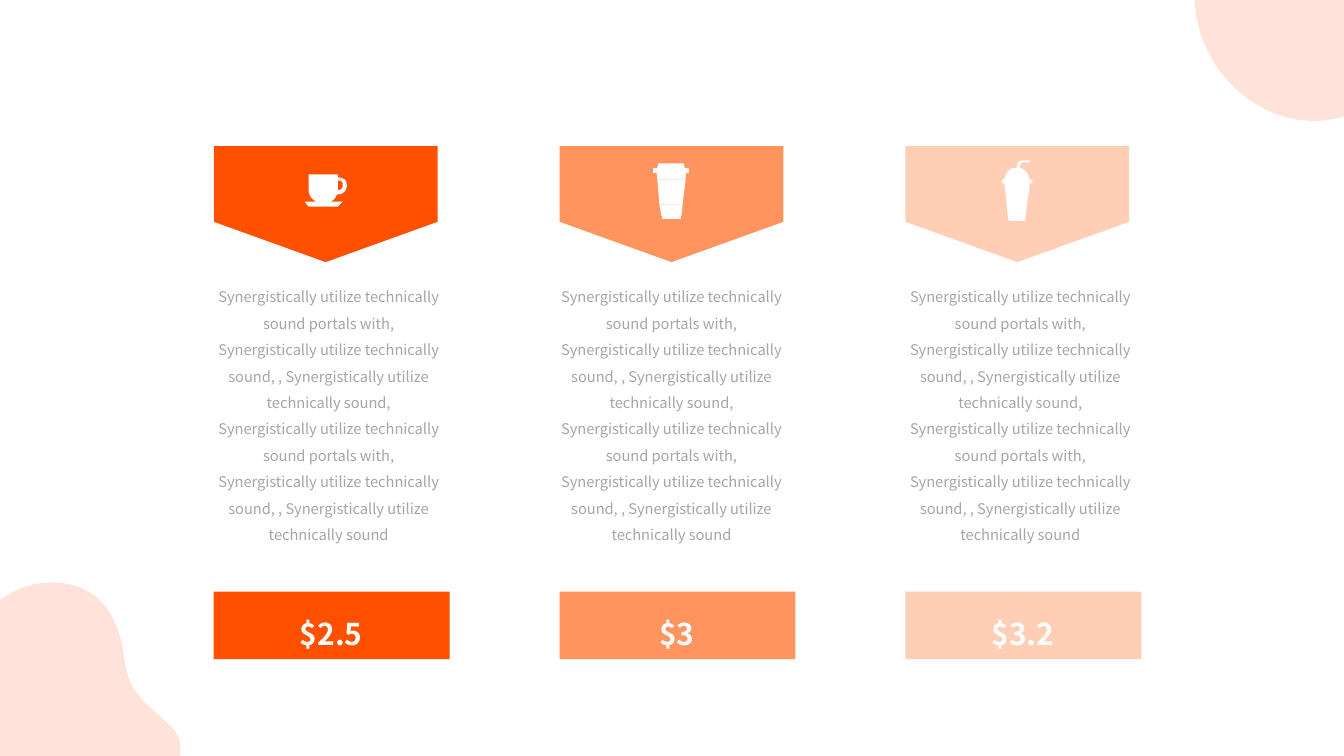
"""Build a slide of three drinks with their notes and prices."""
from pptx import Presentation
from pptx.dml.color import RGBColor as RGB
from pptx.enum.shapes import MSO_SHAPE as Shape
from pptx.enum.text import MSO_ANCHOR as Anchor, MSO_AUTO_SIZE as Fit, PP_ALIGN as Align
from pptx.oxml.ns import qn
from pptx.util import Inches, Pt

WIDE, HIGH = 13.33, 7.5
LEFT, PITCH = 2.12, 3.43
TOP, CARD, HALF = 1.45, 2.22, 1.11
BLUSH = RGB(0xFF, 0xE3, 0xDA)
WHITE = RGB(0xFF, 0xFF, 0xFF)
GREY = RGB(0xA6, 0xA6, 0xA6)
RED = RGB(0xFF, 0x50, 0x00)
CORAL = RGB(0xFF, 0x94, 0x5E)
PEACH = RGB(0xFF, 0xCE, 0xB5)
FONT = "Noto Sans CJK SC"

deck = Presentation()
deck.slide_width, deck.slide_height = Inches(WIDE), Inches(HIGH)
slide = deck.slides.add_slide(deck.slide_layouts[6])
shapes = slide.shapes


def draw(loops, left, top, fill):
    """Draw closed loops; a pair is a corner, six numbers are a Bézier curve."""
    pen = None
    for loop in loops:
        spots = [(Inches(left + step[k]), Inches(top + step[k + 1]))
                 for step in loop for k in range(0, len(step), 2)]
        if pen is None:
            pen = shapes.build_freeform(*spots[0])
        else:
            pen.move_to(*spots[0])
        pen.add_line_segments(spots[1:], close=True)
    shape = pen.convert_to_shape()
    nodes = iter(list(shape._element.iter(qn("a:lnTo"))))
    for step in (step for loop in loops for step in loop[1:]):
        node = next(nodes)
        if len(step) == 6:
            for tail in (next(nodes), next(nodes)):
                node.append(tail[0])
                tail.getparent().remove(tail)
            node.tag = qn("a:cubicBezTo")
    paint(shape, fill)


def paint(shape, fill):
    """Give a shape a plain fill with no line or shadow."""
    shape.shadow.inherit = False
    shape.fill.solid()
    shape.fill.fore_color.rgb = fill
    shape.line.fill.background()


BLOB = [(1.01, 0), (0.99, 0, 0.97, 0, 0.95, 0), (0.38, 0.04, 0, 0.61, 0.12, 1.28),
        (0.23, 1.84, 0.72, 2.29, 1.29, 2.29), (1.39, 2.29, 1.5, 2.27, 1.6, 2.24),
        (2.29, 2.04, 2.39, 1.63, 2.19, 1.43), (1.99, 1.23, 1.76, 1.13, 1.72, 0.73),
        (1.67, 0.35, 1.48, 0, 1.01, 0)]
FLAG = [(-HALF, 0), (-HALF, 0.75), (0, 1.15), (HALF, 0.75), (HALF, 0)]
MUG = [
    [[(-0.17, 0.28), (-0.17, 0.43), (-0.17, 0.51, -0.1, 0.57, -0.02, 0.57),
      (0.06, 0.57, 0.12, 0.51, 0.12, 0.43), (0.12, 0.28)]],
    [[(-0.21, 0.55), (-0.17, 0.6), (0.12, 0.6), (0.17, 0.55)]],
    [[(0.11, 0.34), (0.17, 0.34, 0.17, 0.36, 0.17, 0.39),
      (0.17, 0.4, 0.17, 0.44, 0.11, 0.44), (0.07, 0.44, 0.05, 0.42, 0.05, 0.39),
      (0.05, 0.37, 0.07, 0.34, 0.11, 0.34)],
     [(0.11, 0.31), (0.06, 0.31, 0.01, 0.35, 0.01, 0.39),
      (0.01, 0.44, 0.06, 0.48, 0.11, 0.48), (0.2, 0.48, 0.21, 0.42, 0.21, 0.39),
      (0.21, 0.34, 0.19, 0.31, 0.11, 0.31)]],
]
LATTE = [
    [[(-0.09, 0.68), (-0.09, 0.72), (0.09, 0.72), (0.09, 0.68)]],
    [[(-0.12, 0.58), (-0.1, 0.69), (0.1, 0.69), (0.11, 0.58)]],
    [[(-0.15, 0.24), (-0.14, 0.33), (0.14, 0.33), (0.15, 0.24)]],
    [[(-0.18, 0.22), (-0.18, 0.27), (0.17, 0.27), (0.17, 0.22)]],
    [[(-0.13, 0.17), (-0.15, 0.25), (0.14, 0.25), (0.12, 0.17)]],
    [[(-0.14, 0.33), (-0.12, 0.58), (0.11, 0.58), (0.14, 0.33)]],
    [[(0, 0.39), (-0.03, 0.39, -0.06, 0.42, -0.06, 0.45),
      (-0.06, 0.48, -0.03, 0.51, 0, 0.51), (0.03, 0.51, 0.06, 0.48, 0.06, 0.45),
      (0.06, 0.42, 0.03, 0.39, 0, 0.39)]],
]
SHAKE = [
    [[(-0.01, 0.35), (-0.02, 0.45, -0.03, 0.55, -0.03, 0.56), (0, 0.56),
      (0, 0.56, 0.01, 0.45, 0.01, 0.35)]],
    [[(-0.13, 0.35), (-0.13, 0.37), (-0.12, 0.42), (-0.1, 0.62), (-0.1, 0.63),
      (-0.09, 0.73), (0.08, 0.73), (0.09, 0.63), (0.09, 0.62), (0.12, 0.42),
      (0.12, 0.37), (0.13, 0.35)]],
    [[(-0.08, 0.71), (-0.08, 0.74), (0.08, 0.74), (0.08, 0.71)]],
    [[(-0.11, 0.35), (-0.1, 0.37), (-0.1, 0.42), (-0.08, 0.62), (0.08, 0.62),
      (0.09, 0.42), (0.1, 0.37), (0.1, 0.35)]],
    [[(0.06, 0.14), (0.04, 0.14, 0, 0.15, 0, 0.18), (0, 0.2, -0.01, 0.27, -0.01, 0.35),
      (0.01, 0.35), (0.02, 0.27, 0.02, 0.2, 0.03, 0.19), (0.03, 0.17, 0.05, 0.16, 0.06, 0.16),
      (0.13, 0.16), (0.13, 0.14)]],
    [[(0, 0.21), (-0.07, 0.21, -0.12, 0.26, -0.13, 0.33), (-0.15, 0.33), (-0.15, 0.37),
      (0.15, 0.37), (0.15, 0.33), (0.12, 0.33), (0.11, 0.26, 0.06, 0.21, 0, 0.21)]],
]
NOTE = ("Synergistically utilize technically sound portals with, "
        "Synergistically utilize technically sound, , "
        "Synergistically utilize technically sound")
NOTE = ", ".join([NOTE, NOTE])

for left, top in ((11.75, -1.09), (-0.49, 5.78)):
    draw([BLOB], left, top, BLUSH)

for col, (fill, icon, price, shift) in enumerate([
        (RED, MUG, "$2.5", 0.03), (CORAL, LATTE, "$3", 0), (PEACH, SHAKE, "$3.2", 0.03)]):
    left = LEFT + col * PITCH
    draw([FLAG], left + HALF, TOP, fill)
    for part in icon:
        draw(part, left + HALF, TOP, WHITE)
    paint(shapes.add_shape(Shape.RECTANGLE, Inches(left), Inches(5.87),
                           Inches(2.34), Inches(0.67)), fill)
    for text, place, pad, fit, para, font, tint in [
            (price, (left + 0.21, 5.92, 1.91, 0.56), 0.13, Fit.NONE,
             {"line_spacing": 1.15, "space_after": Pt(21.4)},
             {"size": Pt(21.4), "bold": True}, WHITE),
            (NOTE, (left + shift, 2.77, CARD, 2.89), 0, Fit.SHAPE_TO_FIT_TEXT,
             {"line_spacing": 1.5}, {"size": Pt(10.5)}, GREY)]:
        frame = shapes.add_textbox(*map(Inches, place)).text_frame
        for side in ("left", "top", "right", "bottom"):
            setattr(frame, f"margin_{side}", Inches(pad))
        line = frame.paragraphs[0]
        run = line.add_run()
        run.text = text
        run.font.color.rgb = tint
        for item, style in (
                (frame, {"word_wrap": True, "auto_size": fit, "vertical_anchor": Anchor.TOP}),
                (line, {"alignment": Align.CENTER, **para}),
                (run.font, {"name": FONT, **font})):
            for key, value in style.items():
                setattr(item, key, value)

deck.save("out.pptx")
